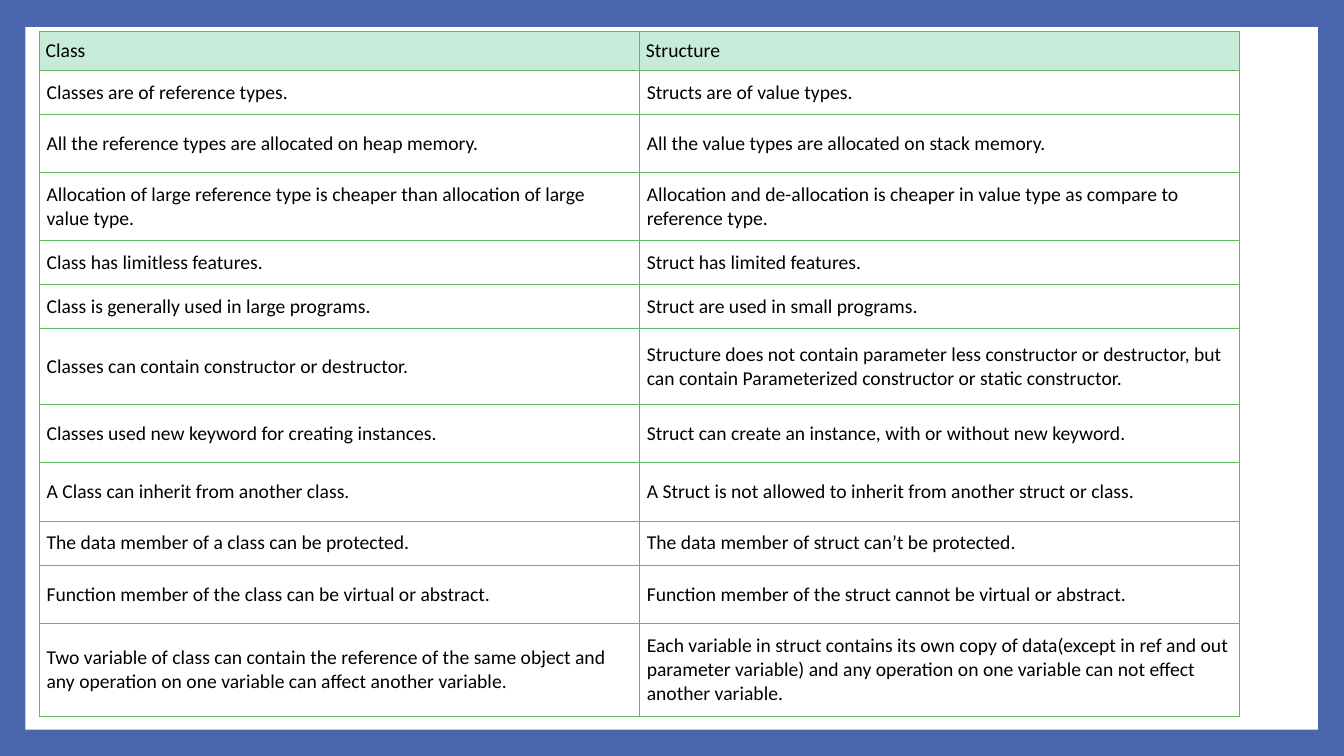
from typing import NamedTuple

from lxml.etree import SubElement
from pptx import Presentation
from pptx.dml.color import RGBColor
from pptx.enum.shapes import MSO_SHAPE as Preset
from pptx.enum.text import MSO_ANCHOR as Anchor
from pptx.oxml.ns import qn
from pptx.util import Emu, Inches, Pt

COLORS = {
    "frame": "4A66AC",
    "panel": "FFFFFF",
    "header": "C6EBD9",
    "border": "5FB962",
    "text": "000000",
}
SLIDE_WIDTH, SLIDE_HEIGHT = Inches(13.333), Inches(7.5)


class Box(NamedTuple):
    left: float
    top: float
    width: float
    height: float


class CellStyle(NamedTuple):
    fill: str
    margin_x: float
    margin_y: float


class Row(NamedTuple):
    height: float
    class_text: str
    struct_text: str


PANEL = Box(1.88, 3.6, 96.17, 92.93)
TABLE_LEFT, TABLE_TOP, COLUMN_WIDTH = 2.93, 4.13, 44.66
HEADER_STYLE = CellStyle("header", 0.47, 0.83)
BODY_STYLE = CellStyle("panel", 0.54, 1.33)
HEADING, SHORT, MEDIUM, TALL, TALLEST = 5.2, 5.47, 7.73, 10, 12.27

ROWS = [
    Row(HEADING, "Class", "Structure"),
    Row(SHORT, "Classes are of reference types.", "Structs are of value types."),
    Row(MEDIUM, "All the reference types are allocated on heap memory.",
        "All the value types are allocated on stack memory."),
    Row(MEDIUM, "Allocation of large reference type is cheaper than allocation of large value type.",
        "Allocation and de-allocation is cheaper in value type as compare to reference type."),
    Row(SHORT, "Class has limitless features.", "Struct has limited features."),
    Row(SHORT, "Class is generally used in large programs.",
        "Struct are used in small programs."),
    Row(TALL, "Classes can contain constructor or destructor.",
        "Structure does not contain parameter less constructor or destructor, "
        "but can contain Parameterized constructor or static constructor."),
    Row(MEDIUM, "Classes used new keyword for creating instances.",
        "Struct can create an instance, with or without new keyword."),
    Row(MEDIUM, "A Class can inherit from another class.",
        "A Struct is not allowed to inherit from another struct or class."),
    Row(SHORT, "The data member of a class can be protected.",
        "The data member of struct can’t be protected."),
    Row(MEDIUM, "Function member of the class can be virtual or abstract.",
        "Function member of the struct cannot be virtual or abstract."),
    Row(TALLEST, "Two variable of class can contain the reference of the same object "
        "and any operation on one variable can affect another variable.",
        "Each variable in struct contains its own copy of data(except in ref and out "
        "parameter variable) and any operation on one variable can not effect another variable."),
]


def across(percent: float) -> Emu:
    return Emu(round(SLIDE_WIDTH * percent / 100))


def down(percent: float) -> Emu:
    return Emu(round(SLIDE_HEIGHT * percent / 100))


def color(name: str) -> RGBColor:
    return RGBColor.from_string(COLORS[name])


def place(box: Box) -> tuple[Emu, Emu, Emu, Emu]:
    return across(box.left), down(box.top), across(box.width), down(box.height)


def add_panel(slide) -> None:
    shape = slide.shapes.add_shape(Preset.RECTANGLE, *place(PANEL))
    shape.shadow.inherit = False
    shape.fill.solid()
    shape.fill.fore_color.rgb = color("panel")
    shape.line.fill.background()


def add_borders(cell) -> None:
    properties = cell._tc.get_or_add_tcPr()
    for side in ("lnL", "lnR", "lnT", "lnB"):
        line = SubElement(properties, qn(f"a:{side}"), w=str(Pt(0.75)))
        fill = SubElement(line, qn("a:solidFill"))
        SubElement(fill, qn("a:srgbClr"), val=COLORS["border"])


def fill_cell(cell, text: str, style: CellStyle) -> None:
    add_borders(cell)
    cell.fill.solid()
    cell.fill.fore_color.rgb = color(style.fill)
    cell.vertical_anchor = Anchor.MIDDLE
    cell.margin_left = cell.margin_right = across(style.margin_x)
    cell.margin_top = cell.margin_bottom = down(style.margin_y)
    cell.text = text
    font = cell.text_frame.paragraphs[0].font
    font.name = "Calibri"
    font.size = Pt(14)
    font.bold = False
    font.color.rgb = color("text")


def add_comparison(slide) -> None:
    box = Box(TABLE_LEFT, TABLE_TOP, 2 * COLUMN_WIDTH, sum(row.height for row in ROWS))
    table = slide.shapes.add_table(len(ROWS), 2, *place(box)).table
    table.first_row = table.horz_banding = False
    for column in table.columns:
        column.width = across(COLUMN_WIDTH)
    for index, row in enumerate(ROWS):
        table.rows[index].height = down(row.height)
        style = BODY_STYLE if index else HEADER_STYLE
        for column, text in enumerate((row.class_text, row.struct_text)):
            fill_cell(table.cell(index, column), text, style)


def main() -> None:
    presentation = Presentation()
    presentation.slide_width, presentation.slide_height = SLIDE_WIDTH, SLIDE_HEIGHT
    slide = presentation.slides.add_slide(presentation.slide_layouts[6])
    slide.background.fill.solid()
    slide.background.fill.fore_color.rgb = color("frame")
    add_panel(slide)
    add_comparison(slide)
    presentation.save("out.pptx")


if __name__ == "__main__":
    main()
